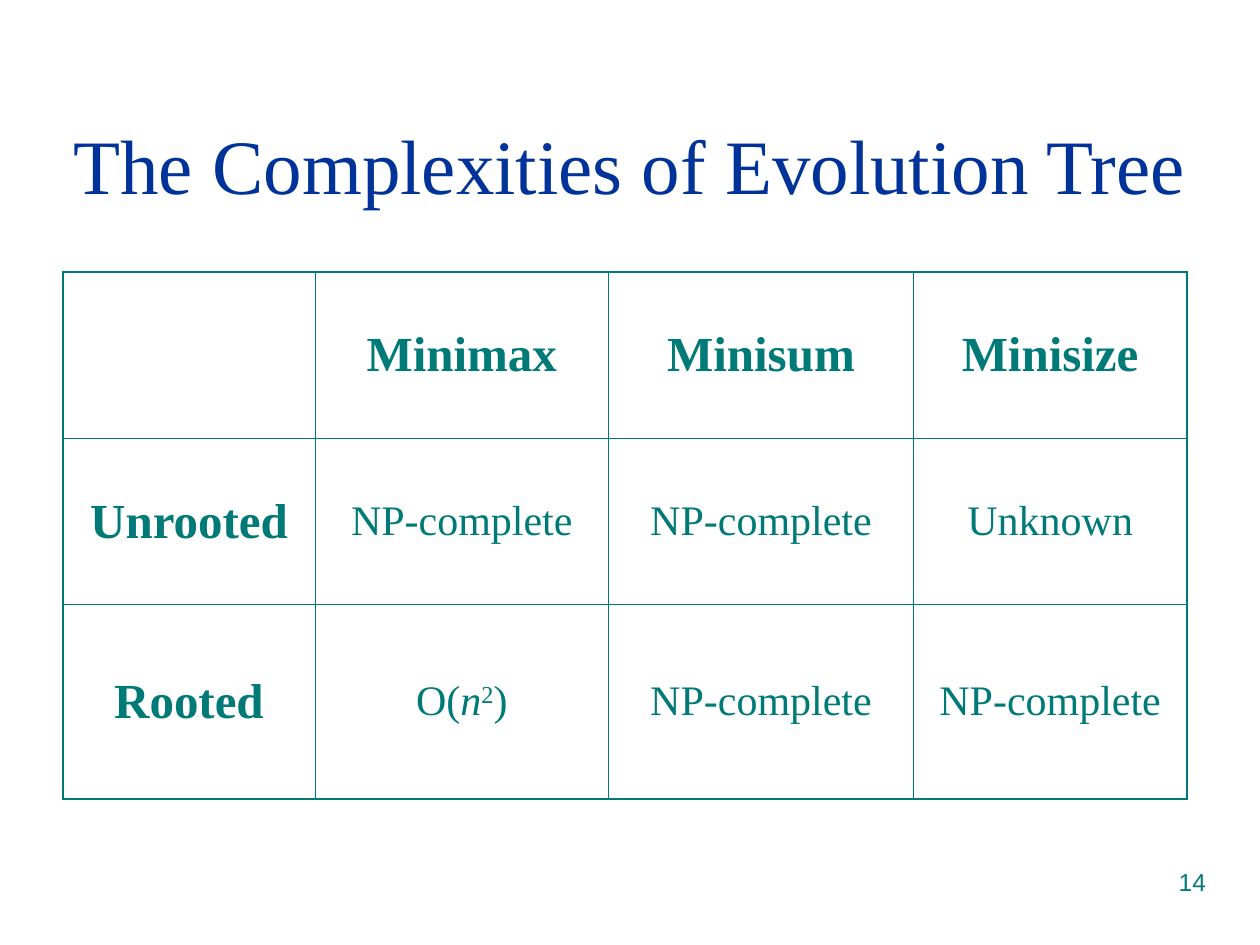
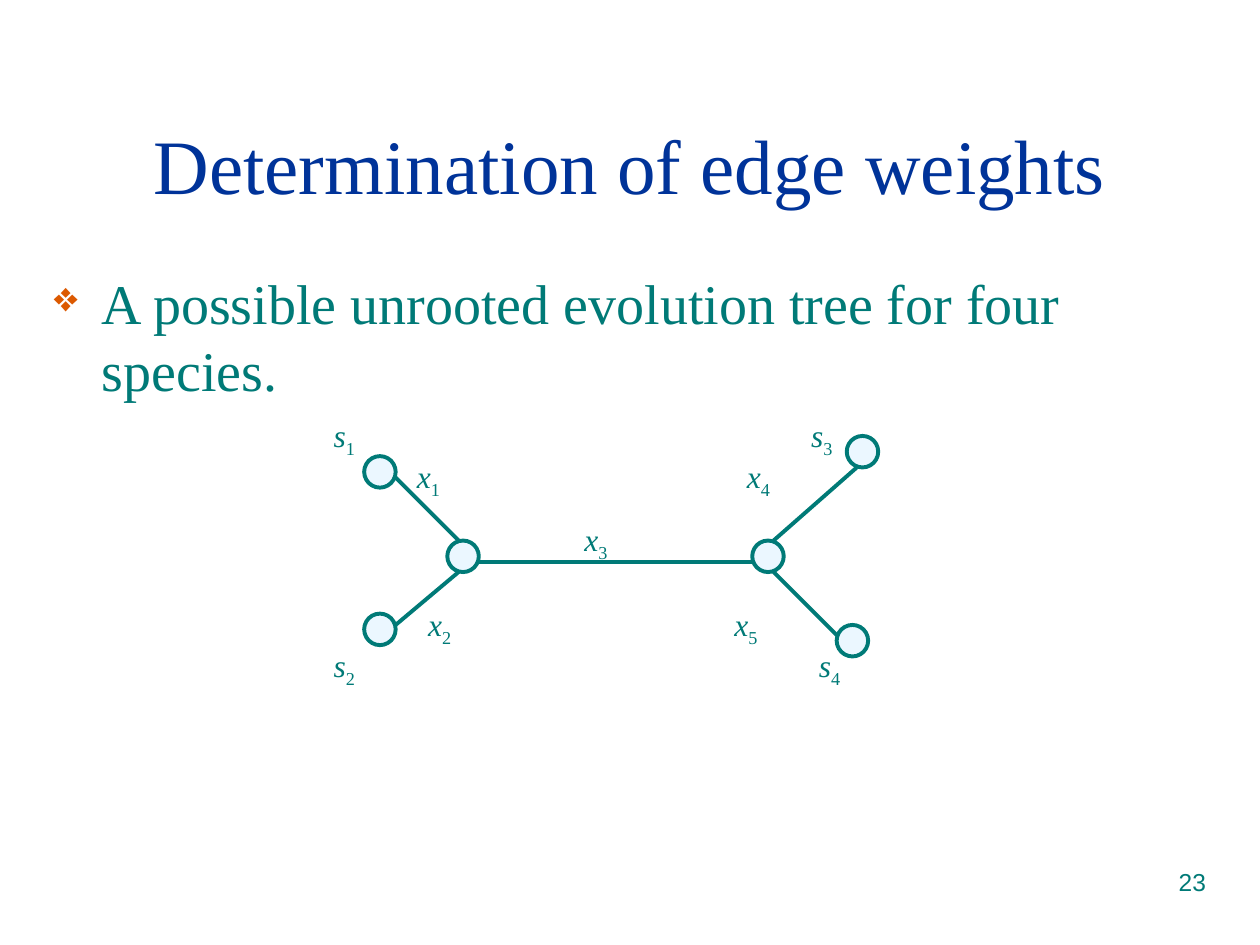
from dataclasses import dataclass

from lxml import etree
from pptx import Presentation
from pptx import util as u
from pptx.dml.color import RGBColor
from pptx.enum import shapes, text
from pptx.oxml import ns


@dataclass(frozen=True)
class Theme:
    title: RGBColor = RGBColor.from_string("003399")
    ink: RGBColor = RGBColor.from_string("007A77")
    bullet: RGBColor = RGBColor.from_string("DC5900")
    node: RGBColor = RGBColor.from_string("EBF7FF")
    serif: str = "Times New Roman"
    sans: str = "Arial"
    title_size: int = 44
    body_size: int = 32
    head_size: int = 28
    cell_size: int = 24
    label_size: int = 18
    number_size: int = 14
    edge_width: float = 2.25
    grid_width: float = 0.45
    frame_width: float = 1.08


THEME = Theme()
ALIGN = text.PP_ALIGN

# Mixed text is a list of (text, italic, baseline percent) pieces.
COMPLEXITY_TITLE = "The Complexities of Evolution Tree"
COMPLEXITIES = [
    ["", "Minimax", "Minisum", "Minisize"],
    ["Unrooted", "NP-complete", "NP-complete", "Unknown"],
    ["Rooted", [("O(", False, 0), ("n", True, 0), ("2", False, 30), (")", False, 0)],
     "NP-complete", "NP-complete"],
]
COLUMN_WIDTHS = [2, 2.33, 2.42, 2.17]
ROW_HEIGHTS = [1.32, 1.32, 1.54]

WEIGHTS_TITLE = "Determination of edge weights"
WEIGHTS_POINT = "A possible unrooted evolution tree for four species."
NODE_SIZE = 0.25
NODES = [(2.89, 3.62), (3.55, 4.29), (6.64, 4.96), (6.72, 3.46), (5.97, 4.29), (2.89, 4.87)]
EDGES = [
    ((3.14, 3.79), (3.64, 4.29)),
    ((3.14, 4.96), (3.64, 4.54)),
    ((3.8, 4.46), (5.97, 4.46)),
    ((6.14, 4.29), (6.8, 3.71)),
    ((6.14, 4.54), (6.64, 5.04)),
]
LABEL_SIZE = (0.6, 0.44)
LABELS = [
    ("s", "1", 2.55, 3.25), ("s", "3", 6.34, 3.25),
    ("s", "2", 2.55, 5.08), ("s", "4", 6.4, 5.08),
    ("x", "1", 3.21, 3.58), ("x", "4", 5.83, 3.58),
    ("x", "2", 3.3, 4.75), ("x", "5", 5.73, 4.75),
    ("x", "3", 4.54, 4.08),
]


def write(para, content, size, color=THEME.ink, font=THEME.serif, bold=False, align=ALIGN.LEFT):
    """Fill a paragraph with a string or with (text, italic, baseline) pieces."""
    pieces = [(content, False, 0)] if isinstance(content, str) else content
    para.alignment = align
    for words, italic, baseline in pieces:
        span = para.add_run()
        span.text = words
        span.font.size = u.Pt(size)
        span.font.name = font
        span.font.bold = bold
        span.font.italic = italic
        span.font.color.rgb = color
        if baseline:
            span.font._element.set("baseline", str(baseline * 1000))


def add_text(slide, place, content, size, anchor=text.MSO_ANCHOR.TOP, **style):
    box = slide.shapes.add_textbox(*map(u.Inches, place))
    box.text_frame.word_wrap = True
    box.text_frame.vertical_anchor = anchor
    para = box.text_frame.paragraphs[0]
    write(para, content, size, **style)
    return para


def add_page(deck, title, number):
    """Add a slide with the shared title and page number."""
    slide = deck.slides.add_slide(deck.slide_layouts[6])
    add_text(slide, (0.33, 0.67, 9.34, 1.25), title, THEME.title_size,
             anchor=text.MSO_ANCHOR.MIDDLE, color=THEME.title, align=ALIGN.CENTER)
    add_text(slide, (7.17, 6.83, 2.5, 0.52), str(number), THEME.number_size,
             font=THEME.sans, align=ALIGN.RIGHT)
    return slide


def set_bullet(para, char, indent, percent):
    props = para._p.get_or_add_pPr()
    props.set("marL", str(u.Inches(indent)))
    props.set("indent", str(-u.Inches(indent)))
    color = etree.SubElement(props, ns.qn("a:buClr"))
    etree.SubElement(color, ns.qn("a:srgbClr"), val=str(THEME.bullet))
    etree.SubElement(props, ns.qn("a:buSzPct"), val=str(percent * 1000))
    etree.SubElement(props, ns.qn("a:buChar"), char=char)


def set_borders(cell, outer_sides):
    """Rule all four sides, heavier on those at the table's edge."""
    props = cell._tc.get_or_add_tcPr()
    for side in "LRTB":
        width = THEME.frame_width if side in outer_sides else THEME.grid_width
        line = etree.SubElement(props, ns.qn(f"a:ln{side}"), w=str(u.Pt(width)))
        fill = etree.SubElement(line, ns.qn("a:solidFill"))
        etree.SubElement(fill, ns.qn("a:srgbClr"), val=str(THEME.ink))


def add_complexity_table(slide):
    rows, columns = len(ROW_HEIGHTS), len(COLUMN_WIDTHS)
    size = (sum(COLUMN_WIDTHS), sum(ROW_HEIGHTS))
    table = slide.shapes.add_table(rows, columns, *map(u.Inches, (0.5, 2.16, *size))).table
    table.first_row = table.horz_banding = False
    for column, width in zip(table.columns, COLUMN_WIDTHS):
        column.width = u.Inches(width)
    for row, height in zip(table.rows, ROW_HEIGHTS):
        row.height = u.Inches(height)
    for r, contents in enumerate(COMPLEXITIES):
        for c, content in enumerate(contents):
            cell = table.cell(r, c)
            edges = {"L": c == 0, "R": c == columns - 1, "T": r == 0, "B": r == rows - 1}
            set_borders(cell, [side for side, outer in edges.items() if outer])
            cell.fill.background()
            cell.vertical_anchor = text.MSO_ANCHOR.MIDDLE
            heading = r == 0 or c == 0
            if content:
                write(cell.text_frame.paragraphs[0], content,
                      THEME.head_size if heading else THEME.cell_size,
                      bold=heading, align=ALIGN.CENTER)


def set_line(line):
    line.color.rgb = THEME.ink
    line.width = u.Pt(THEME.edge_width)


def add_tree(slide):
    for left, top in NODES:
        node = slide.shapes.add_shape(shapes.MSO_SHAPE.OVAL,
                                      *map(u.Inches, (left, top, NODE_SIZE, NODE_SIZE)))
        node.shadow.inherit = False
        node.fill.solid()
        node.fill.fore_color.rgb = THEME.node
        set_line(node.line)
    for start, end in EDGES:
        edge = slide.shapes.add_connector(shapes.MSO_CONNECTOR.STRAIGHT,
                                          *map(u.Inches, (*start, *end)))
        set_line(edge.line)
        etree.SubElement(edge._element.spPr, ns.qn("a:effectLst"))
    for letter, index, left, top in LABELS:
        add_text(slide, (left, top, *LABEL_SIZE),
                 [(letter, True, 0), (index, False, -25)], THEME.label_size)


def main():
    deck = Presentation()
    deck.slide_width, deck.slide_height = u.Inches(10), u.Inches(7.5)

    add_complexity_table(add_page(deck, COMPLEXITY_TITLE, 14))

    weights = add_page(deck, WEIGHTS_TITLE, 23)
    point = add_text(weights, (0.33, 2.08, 9.34, 4.59), WEIGHTS_POINT, THEME.body_size)
    set_bullet(point, "❖", 0.38, 75)
    add_tree(weights)

    deck.save("out.pptx")


if __name__ == "__main__":
    main()
